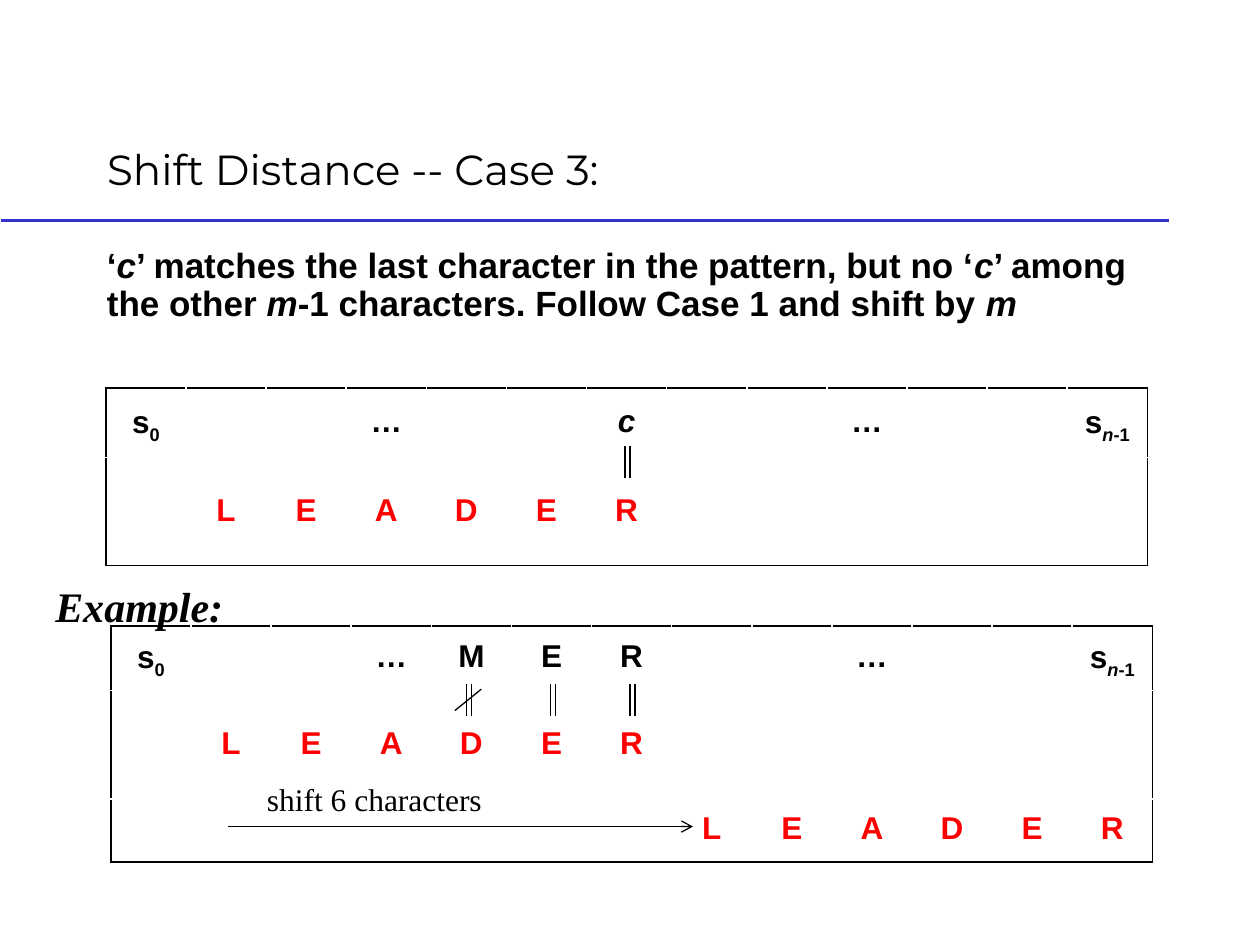
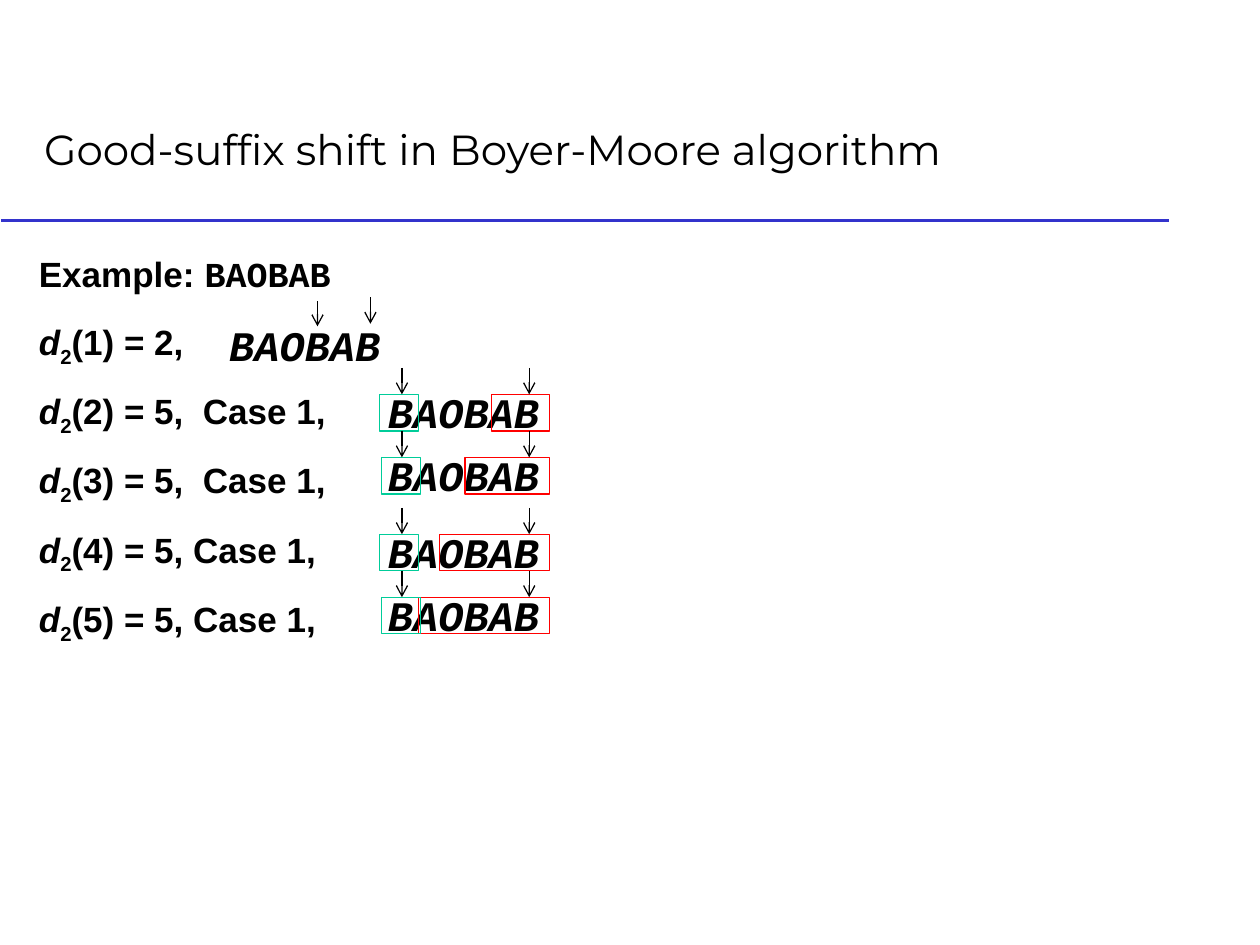
"""Build two string-matching slides: shift distance case 3 and the good-suffix shift."""
import lxml.etree
import pptx
import pptx.dml.color
import pptx.enum.shapes
import pptx.enum.text
import pptx.oxml.ns
import pptx.util

Inches, Pt, qn = pptx.util.Inches, pptx.util.Pt, pptx.oxml.ns.qn
COLORS = {"text": "000000", "rule": "3333CC", "pattern": "FF0000", "prefix": "00CC99"}
SANS, SERIF, MONO, HEAD = "Arial", "Times New Roman", "Courier New", "Montserrat"


def rgb(name):
    return pptx.dml.color.RGBColor.from_string(COLORS[name])


def write(p, text, size=20, font=SANS, color="text", bold=True, italic=False):
    """Add runs to p; *...* marks italic and _..._ marks subscript."""
    for i, part in enumerate(text.split("_")):
        for j, piece in enumerate(part.split("*")):
            if not piece:
                continue
            r = p.add_run()
            r.text = piece
            f = r.font
            f.size, f.name, f.bold = Pt(size), font, bold
            f.italic = italic or j % 2 == 1
            f.color.rgb = rgb(color)
            if i % 2:
                r._r.get_or_add_rPr().set("baseline", "-25000")


def space_paragraph(p):
    p.line_spacing = 0.9
    p.space_before = Pt(0)
    before = p._p.pPr.find(qn("a:spcBef"))
    before.remove(before[0])
    lxml.etree.SubElement(before, qn("a:spcPct"), val="75000")


def draw_border(cell, sides):
    tcPr = cell._tc.get_or_add_tcPr()
    for i, side in enumerate(s for s in "LRTB" if s in sides):
        ln = lxml.etree.Element(qn("a:ln" + side), w=str(Pt(1)))
        fill = lxml.etree.SubElement(ln, qn("a:solidFill"))
        lxml.etree.SubElement(fill, qn("a:srgbClr"), val=COLORS["text"])
        tcPr.insert(i, ln)


class Deck:
    """Hold the presentation style and the current slide."""

    def __init__(self):
        self.prs = pptx.Presentation()
        self.prs.slide_width, self.prs.slide_height = Inches(10), Inches(7.5)

    def add_slide(self, title, x, y, w, h):
        self.slide = self.prs.slides.add_slide(self.prs.slide_layouts[5])
        self.line(0.01, 1.75, 9.28, 1.75, color="rule", width=1.5)
        sp = self.slide.shapes.title
        sp.left, sp.top, sp.width, sp.height = map(Inches, (x, y, w, h))
        tf = sp.text_frame
        tf.vertical_anchor = pptx.enum.text.MSO_ANCHOR.BOTTOM
        tf.auto_size = pptx.enum.text.MSO_AUTO_SIZE.NONE
        tf.paragraphs[0].alignment = pptx.enum.text.PP_ALIGN.LEFT
        write(tf.paragraphs[0], title, size=24, font=HEAD, bold=False)

    def line(self, x1, y1, x2, y2, color="text", width=0.75, arrow=False, group=None):
        shapes = (group or self.slide).shapes
        sp = shapes.add_connector(pptx.enum.shapes.MSO_CONNECTOR.STRAIGHT,
                                  *map(Inches, (x1, y1, x2, y2)))
        sp.line.color.rgb, sp.line.width = rgb(color), Pt(width)
        if arrow:
            lxml.etree.SubElement(sp.line._get_or_add_ln(), qn("a:tailEnd"), type="arrow")
        lxml.etree.SubElement(sp._element.spPr, qn("a:effectLst"))

    def match_mark(self, x, y, mismatch=False):
        group = self.slide.shapes.add_group_shape()
        for left in (x, x + 0.04):
            self.line(left, y, left, y + 0.25, group=group)
        if mismatch:
            self.line(x + 0.12, y + 0.04, x - 0.09, y + 0.21, group=group)

    def frame(self, x, y, w, h, color):
        sp = self.slide.shapes.add_shape(pptx.enum.shapes.MSO_SHAPE.RECTANGLE,
                                         *map(Inches, (x, y, w, h)))
        sp.shadow.inherit = False
        sp.fill.background()
        sp.line.color.rgb, sp.line.width = rgb(color), Pt(0.75)

    def label(self, text, x, y, w, h, **fmt):
        tf = self.slide.shapes.add_textbox(*map(Inches, (x, y, w, h))).text_frame
        tf.word_wrap = False
        tf.auto_size = pptx.enum.text.MSO_AUTO_SIZE.SHAPE_TO_FIT_TEXT
        write(tf.paragraphs[0], text, **fmt)

    def body(self, lines, x, y, w, h):
        tf = self.slide.shapes.add_textbox(*map(Inches, (x, y, w, h))).text_frame
        tf.word_wrap = True
        for i, text in enumerate(lines):
            p = tf.add_paragraph() if i else tf.paragraphs[0]
            space_paragraph(p)
            write(p, text)
        return tf

    def string_table(self, x, y, heights, rows):
        """Draw a boxed 13-column grid; rows maps columns to text, the first row in black."""
        n, last = 13, len(heights) - 1
        tbl = self.slide.shapes.add_table(len(heights), n, Inches(x), Inches(y),
                                          Inches(8.27), Inches(sum(heights))).table
        tbl.first_row = tbl.horz_banding = False
        for col in tbl.columns:
            col.width = int(Inches(8.27) / n)
        for i, height in enumerate(heights):
            tbl.rows[i].height = Inches(height)
            for j in range(n):
                cell = tbl.cell(i, j)
                cell.fill.background()
                cell.vertical_anchor = pptx.enum.text.MSO_ANCHOR.MIDDLE
                edges = {"L": j == 0, "R": j == n - 1, "T": i == 0, "B": i == last}
                draw_border(cell, [side for side, on in edges.items() if on])
                if j in rows[i]:
                    p = cell.text_frame.paragraphs[0]
                    p.alignment = pptx.enum.text.PP_ALIGN.CENTER
                    space_paragraph(p)
                    write(p, rows[i][j], size=18, color="pattern" if i else "text")

    def aligned_word(self, top, prefix_x, suffix_x):
        """Draw the word with its prefix and suffix framed and two arrows above."""
        self.label("BAOBAB", 2.98, top, 1.41, 0.5, **WORD)
        self.frame(suffix_x, top + 0.11, 4.36 - suffix_x, 0.29, "pattern")
        self.frame(prefix_x, top + 0.11, 0.31, 0.29, "prefix")
        for x in (3.19, 4.2):
            self.line(x, top - 0.1, x, top + 0.11, arrow=True)


WORD = dict(size=24, font=MONO, italic=True)
ENDS = {0: "s_0_", 3: "…", 9: "…", 12: "s_*n*-1_"}
deck = Deck()

deck.add_slide("Shift Distance -- Case 3:", 0.75, 0.67, 8.5, 0.92)
deck.body(["‘*c*’ matches the last character in the pattern, but no ‘*c*’ among the other "
           "*m*-1 characters. Follow Case 1 and shift by *m*"], 0.75, 1.92, 8.5, 5)
pattern = dict(enumerate("LEADER", 1))
shifted = dict(enumerate("LEADER", 7))
deck.string_table(0.88, 4.97, [0.51, 0.86, 0.5],
                  [{**ENDS, **dict(enumerate("MER", 4))}, pattern, shifted])
deck.string_table(0.84, 3.08, [0.55, 0.86], [{**ENDS, 6: "*c*"}, pattern])
deck.match_mark(4.96, 3.54)
deck.match_mark(3.7, 5.43, mismatch=True)
deck.match_mark(4.37, 5.43)
deck.match_mark(5, 5.43)
deck.label("Example:", 0.34, 4.56, 1.55, 0.51, size=24, font=SERIF, italic=True)
deck.line(1.81, 6.56, 5.5, 6.56, arrow=True)
deck.label("shift 6 characters ", 2.02, 6.14, 1.99, 0.4, size=18, font=SERIF, bold=False)

deck.add_slide("Good-suffix shift in Boyer-Moore algorithm", 0.25, 0.68, 9.17, 0.75)
shifts = ["2,", "5,  Case 1,", "5,  Case 1,", "5, Case 1,", "5, Case 1,"]
tf = deck.body(["Example: "] + [f"*d*_2_({k}) = {s}" for k, s in enumerate(shifts, 1)],
               0.21, 1.99, 9.49, 4.73)
write(tf.paragraphs[0], "BAOBAB", font=MONO)
deck.label("BAOBAB", 1.72, 2.49, 1.41, 0.5, **WORD)
deck.line(2.52, 2.39, 2.52, 2.59, arrow=True)
deck.line(2.94, 2.36, 2.94, 2.57, arrow=True)
for top, prefix_x, suffix_x in [(3.02, 3.01, 3.9), (3.52, 3.03, 3.69),
                                (4.13, 3.01, 3.49), (4.63, 3.03, 3.32)]:
    deck.aligned_word(top, prefix_x, suffix_x)

deck.prs.save("out.pptx")
